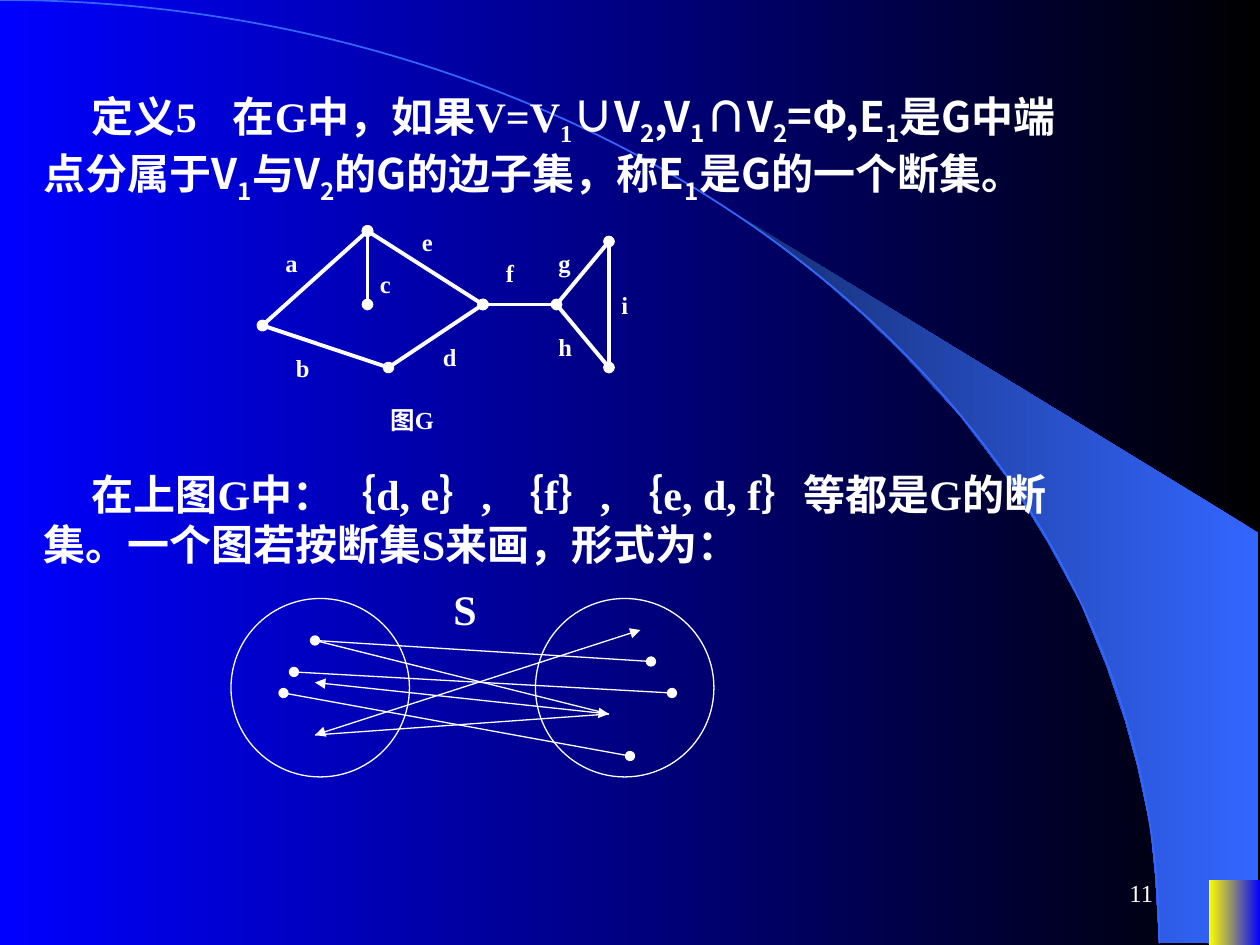
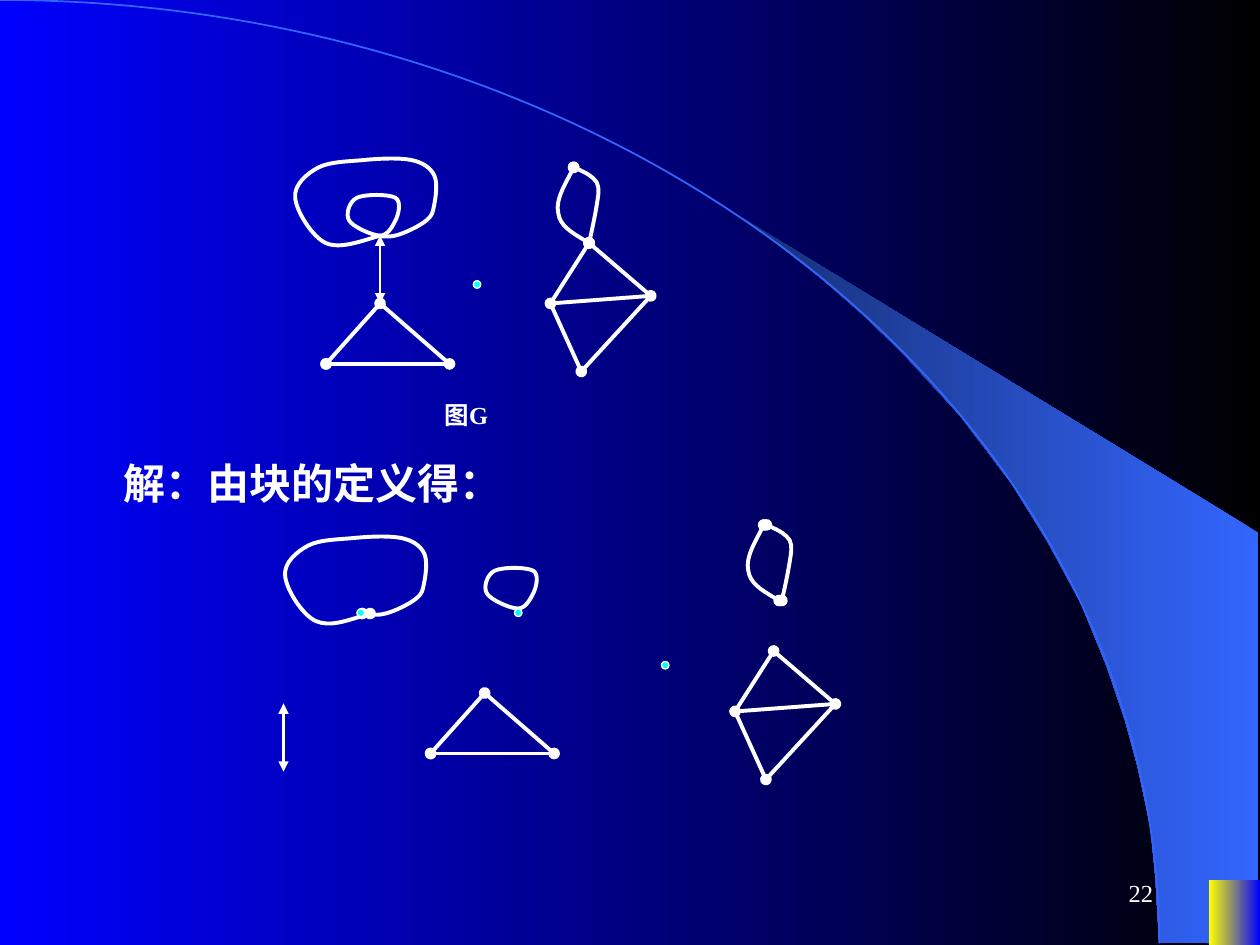
from dataclasses import dataclass

from lxml.etree import SubElement
from pptx import Presentation
from pptx.dml.color import RGBColor
from pptx.enum.shapes import MSO_CONNECTOR, MSO_SHAPE
from pptx.enum.text import MSO_ANCHOR, PP_ALIGN
from pptx.oxml.ns import qn
from pptx.util import Inches, Pt

COLORS = {
    "black": "000000", "blue": "0000FF", "sky": "3366FF", "navy": "172F75",
    "yellow": "FFFF00", "white": "FFFFFF", "cyan": "00FFFF",
}
SERIF, SANS = "Times New Roman", "Noto Sans CJK SC"
OVALS, ARROWS = "oval", "triangle"

SWOOSH = [
    (9.2, 7.48), (9.99, 7.49), (9.99, 4.23), (5.89, 1.73), (6.24, 1.99), (6.53, 2.22),
    (6.85, 2.5), (7.16, 2.8), (7.62, 3.3), (8.03, 3.84), (8.32, 4.31), (8.58, 4.79),
    (8.78, 5.28), (8.93, 5.72), (9.03, 6.09), (9.13, 6.56), (9.17, 6.96),
]
INNER_LOOP = [
    (0, 0), (-1, 0), (-3.6, -1.2), (-4, -2), (-4.5, -2.8), (-4, -4.5), (-3, -5),
    (-2, -5.5), (1.1, -5.5), (2, -5), (2.8, -4.5), (2.4, -2.8), (2, -2),
    (1.6, -1.2), (1, 0), (0, 0),
]
OUTER_LOOP = [
    (0, 0), (-2.6, 0.8), (-5.2, 1.8), (-7, 1), (-8.8, 0.2), (-10.9, -3.3), (-11, -5),
    (-11.2, -6.7), (-9.5, -8.2), (-8, -9), (-6.5, -9.8), (-4, -9.8), (-2, -10),
    (0, -10.2), (2.5, -10.3), (4, -10), (5.5, -9.7), (6.5, -9), (7, -8),
    (7.5, -7), (7.2, -5), (7, -4), (6.8, -3), (6.8, -2.7), (6, -2),
    (5.2, -1.3), (3.2, -0.3), (2, 0), (0.8, 0.3), (-0.5, 0), (-1, 0),
]
LEAF_LEFT = [(0, 0), (-2, -1.2), (-3.8, -2.3), (-4, -4), (-4.4, -5.7), (-2.4, -9), (-2, -10)]
LEAF_RIGHT = [
    (-2, -10), (-0.8, -9.5), (0.5, -8.8), (1, -8), (1.4, -7.2), (1.2, -6.3), (1, -5),
    (0.8, -3.7), (0.2, -0.8), (0, 0),
]


@dataclass
class Grid:
    """A grid in inches: an origin and the size of one cell."""
    left: float = 0
    top: float = 0
    column: float = 1 / 12
    row: float = 1 / 12

    def point(self, column, row):
        """Return the place of a grid node."""
        return Inches(self.left + column * self.column), Inches(self.top + row * self.row)

    def box(self, column, row, columns, rows):
        """Return left, top, width and height of a block of cells."""
        return *self.point(column, row), Inches(columns * self.column), Inches(rows * self.row)

    def inner(self, column, row, width=1 / 12, height=1 / 12):
        """Return a grid that starts at a node of this one."""
        return Grid(self.left + column * self.column, self.top + row * self.row, width, height)


SLIDE = Grid()


def sketch(column, row):
    """Return the finer grid used by the block drawings."""
    return SLIDE.inner(column, row, 0.98 / 16, 0.06)


def color(name):
    """Return a named colour."""
    return RGBColor.from_string(COLORS[name])


def paint_gradient(fill, start, end):
    """Fill with a gradient that runs from right to left."""
    fill.gradient()
    fill.gradient_angle = 180
    for stop, name in zip(fill.gradient_stops, (start, end)):
        stop.color.rgb = color(name)


def style_line(shape, width, ends=None, name="white"):
    """Set the colour, width and both ends of an outline."""
    shape.line.color.rgb = color(name)
    shape.line.width = Pt(width)
    if ends:
        outline = shape.element.spPr.find(qn("a:ln"))
        for tag in ("a:headEnd", "a:tailEnd"):
            SubElement(outline, qn(tag), type=ends)


def add_line(page, grid, start, end, width=2.25, ends=None):
    """Join two grid nodes with a straight line."""
    line = page.shapes.add_connector(
        MSO_CONNECTOR.STRAIGHT, *grid.point(*start), *grid.point(*end))
    style_line(line, width, ends)
    SubElement(line.element.spPr, qn("a:effectLst"))


def add_outline(page, grid, points, close=False):
    """Build a freeform without fill through grid nodes."""
    places = [grid.point(*point) for point in points]
    builder = page.shapes.build_freeform(*places[0])
    builder.add_line_segments(places[1:], close=close)
    shape = builder.convert_to_shape()
    shape.shadow.inherit = False
    shape.fill.background()
    return shape


def add_curve(page, grid, points, ends=None):
    """Draw a thick chain of cubic curves from its control points."""
    shape = add_outline(page, grid, points, close=points[0] == points[-1])
    steps = list(shape.element.iter(qn("a:lnTo")))
    for first in range(0, len(steps), 3):
        outline = steps[first].getparent()
        curve = outline.makeelement(qn("a:cubicBezTo"))
        steps[first].addprevious(curve)
        for step in steps[first:first + 3]:
            curve.append(step[0])
            outline.remove(step)
    style_line(shape, 2.25, ends)


def add_ellipse(page, box, fill=None):
    """Draw a thin white ellipse."""
    shape = page.shapes.add_shape(MSO_SHAPE.OVAL, *box)
    shape.shadow.inherit = False
    style_line(shape, 0.75)
    if fill:
        shape.fill.solid()
        shape.fill.fore_color.rgb = color(fill)
    else:
        shape.fill.background()


def add_text(page, text, box, size=14, bold=True, align=None, anchor=None,
             indent=0, tab=0, sans_text=""):
    """Write a paragraph; an underscore lowers the character after it."""
    frame = page.shapes.add_textbox(*box).text_frame
    frame.word_wrap = True
    frame.vertical_anchor = anchor
    para = frame.paragraphs[0]
    para.alignment = align
    if indent:
        properties = para._p.get_or_add_pPr()
        properties.set("marL", "0")
        properties.set("indent", str(Inches(indent)))
        if tab:
            stops = SubElement(properties, qn("a:tabLst"))
            SubElement(stops, qn("a:tab"), pos=str(Inches(tab)), algn="l")
    for font, part in ((SERIF, text), (SANS, sans_text)):
        plain, *lowered = part.split("_")
        spans = [(plain, False)]
        for piece in lowered:
            spans += [(piece[0], True), (piece[1:], False)]
        for content, is_lowered in spans:
            if content:
                span = para.add_run()
                span.text = content
                span.font.name, span.font.size, span.font.bold = font, Pt(size), bold
                span.font.color.rgb = color("white")
                if is_lowered:
                    span.font._element.set("baseline", "-25000")


def decorate_master(deck, page):
    """Move the swoosh, arc and corner block to the master and paint its background."""
    master = deck.slide_master
    paint_gradient(master.background.fill, "black", "blue")
    swoosh = add_outline(page, Grid(column=1, row=1), SWOOSH, close=True)
    paint_gradient(swoosh.fill, "sky", "navy")
    swoosh.line.fill.background()
    arc = page.shapes.add_shape(MSO_SHAPE.ARC, *SLIDE.box(-110.4, 0, 220.8, 179.7))
    arc.shadow.inherit = False
    arc.fill.background()
    style_line(arc, 1, name="sky")
    corner = page.shapes.add_shape(MSO_SHAPE.RECTANGLE, *SLIDE.box(115.15, 83.8, 4.85, 6.2))
    corner.shadow.inherit = False
    paint_gradient(corner.fill, "blue", "yellow")
    corner.line.fill.background()
    for number, shape in enumerate((swoosh, arc, corner), 20):
        shape.element.nvSpPr.cNvPr.set("id", str(number))
        master.shapes.element.append(shape.element)


def add_page_number(page, number):
    """Write the page number at the lower right."""
    add_text(page, number, SLIDE.box(86, 82, 25, 6), bold=False,
             align=PP_ALIGN.RIGHT, anchor=MSO_ANCHOR.MIDDLE)


def draw_labelled_graph(page, grid):
    """Draw graph G with named edges."""
    left, top, bottom, middle = (0, 10), (10, 1), (12, 14), (10, 8)
    right, hub, upper, lower = (21, 8), (28, 8), (33, 2), (33, 14)
    for start, end in ((top, left), (top, right), (left, bottom), (top, middle),
                       (right, hub), (upper, lower)):
        add_line(page, grid, start, end, ends=OVALS)
    for start, end in ((right, bottom), (hub, upper), (hub, lower)):
        add_line(page, grid, start, end)
    labels = {"a": (1, 2), "g": (27, 2), "e": (14, 0), "d": (16, 11), "c": (10, 4),
              "b": (2, 12), "h": (27, 10), "f": (22, 3), "i": (33, 6)}
    for label, place in labels.items():
        add_text(page, label, grid.box(*place, 5.16, 4.08))
    add_text(page, "图G", grid.box(11, 17, 9.24, 4.08))


def draw_cut_set(page, grid):
    """Draw two vertex sets and the edges of S between them."""
    for column in (29, 0):
        add_ellipse(page, grid.box(column, 2, 17, 17))
    for start, end, ends in (
            ((8, 6), (40, 8), OVALS), ((8, 15), (39, 5), ARROWS),
            ((8, 10), (36, 13), ARROWS), ((5, 11), (38, 17), OVALS),
            ((6, 9), (42, 11), OVALS), ((8, 6), (36, 13), None), ((8, 15), (36, 13), None)):
        add_line(page, grid, start, end, width=0.75, ends=ends)
    add_text(page, "S", grid.box(20, 0, 7.2, 6), size=24)


def draw_triangle(page, grid):
    """Draw a triangle below its apex."""
    apex, left, right = (0, 0), (-7, 8), (9, 8)
    add_line(page, grid, apex, left, ends=OVALS)
    add_line(page, grid, left, right, ends=OVALS)
    add_line(page, grid, apex, right)


def draw_diamond(page, grid):
    """Draw a quadrilateral with one diagonal below its top node."""
    top, left, right, bottom = (0, 0), (-5, 8), (8, 7), (-1, 17)
    for start, end, ends in ((top, left, OVALS), (left, bottom, None), (top, right, None),
                             (right, bottom, OVALS), (left, right, None)):
        add_line(page, grid, start, end, ends=ends)


def draw_leaf(page, left_grid, right_grid):
    """Draw two parallel edges as curves."""
    add_curve(page, left_grid, LEAF_LEFT, OVALS)
    add_curve(page, right_grid, LEAF_RIGHT, OVALS)


def draw_double_arrow(page, start, end):
    """Draw a vertical arrow with two heads."""
    add_line(page, SLIDE, start, end, width=1.5, ends=ARROWS)


def draw_dots(page, *places):
    """Draw small cyan nodes."""
    for place in places:
        add_ellipse(page, SLIDE.box(*place, 0.72, 0.72), fill="cyan")


def draw_whole_graph(page):
    """Draw graph G before it is split."""
    knot, leaf = sketch(36.2, 22.44), sketch(56.1, 23.14)
    draw_double_arrow(page, (36.2, 22.44), (36.2, 28.9))
    draw_triangle(page, sketch(36.2, 28.9))
    draw_dots(page, (45.08, 26.74))
    draw_diamond(page, leaf)
    add_curve(page, knot, INNER_LOOP)
    add_curve(page, knot, OUTER_LOOP)
    draw_leaf(page, leaf, leaf)
    add_text(page, "图G", SLIDE.box(35.5, 37.5, 17.84, 4.08), align=PP_ALIGN.CENTER)


def draw_blocks(page):
    """Draw the blocks of graph G apart."""
    draw_double_arrow(page, (27, 67), (27, 73.5))
    draw_triangle(page, sketch(46.16, 66))
    draw_diamond(page, sketch(73.68, 62))
    draw_leaf(page, sketch(74.2, 57.2), sketch(74.46, 57.2))
    add_curve(page, sketch(49.32, 57.96), INNER_LOOP)
    add_curve(page, sketch(35.24, 58.44), OUTER_LOOP, OVALS)
    draw_dots(page, (63, 63), (49, 58), (34, 58))


def build_cut_set_slide(page):
    """Fill the slide that defines a cut set."""
    add_text(page, "定义5\t在G中，如果V=V_1", SLIDE.box(3, 8, 100.5, 17), size=24,
             indent=0.38, tab=1.58,
             sans_text="∪V_2,V_1∩V_2=Φ,E_1是G中端点分属于V_1与V_2的G的边子集，称E_1是G的一个断集。")
    draw_labelled_graph(page, SLIDE.inner(25, 21))
    add_text(page, "在上图G中：｛d, e｝, ｛f｝, ｛e, d, f｝等都是G的断集。一个图若按断集S来画，形式为：",
             SLIDE.box(3, 44, 101, 10.8), size=24, indent=0.38)
    draw_cut_set(page, SLIDE.inner(22, 55))
    add_page_number(page, "11")


def build_blocks_slide(page):
    """Fill the slide that splits a graph into blocks."""
    add_text(page, "解：由块的定义得：", SLIDE.box(6, 43, 101, 6), size=24, indent=0.38)
    draw_whole_graph(page)
    draw_blocks(page)
    add_page_number(page, "22")


def main():
    """Build and save the deck."""
    deck = Presentation()
    deck.slide_width, deck.slide_height = Inches(10), Inches(7.5)
    pages = [deck.slides.add_slide(deck.slide_layouts[6]) for _ in range(2)]
    decorate_master(deck, pages[0])
    build_cut_set_slide(pages[0])
    build_blocks_slide(pages[1])
    deck.save("out.pptx")


if __name__ == "__main__":
    main()
